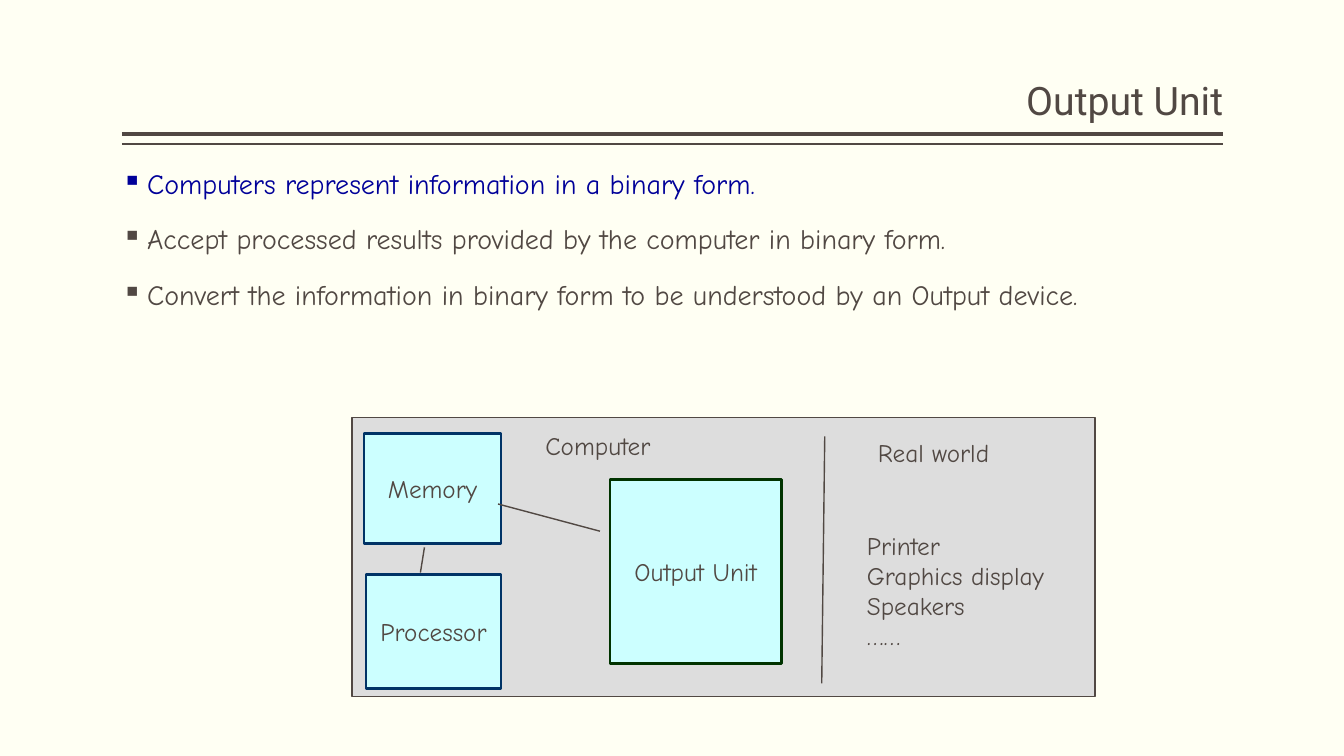
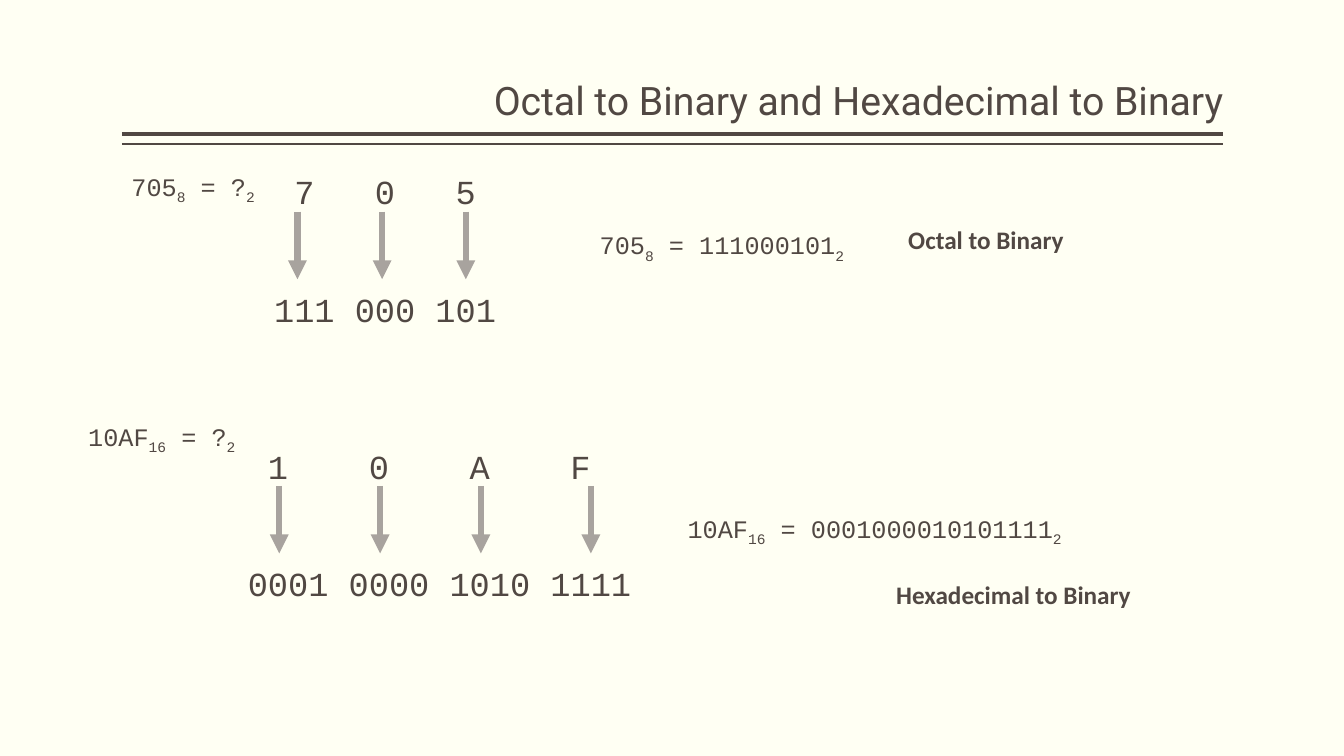
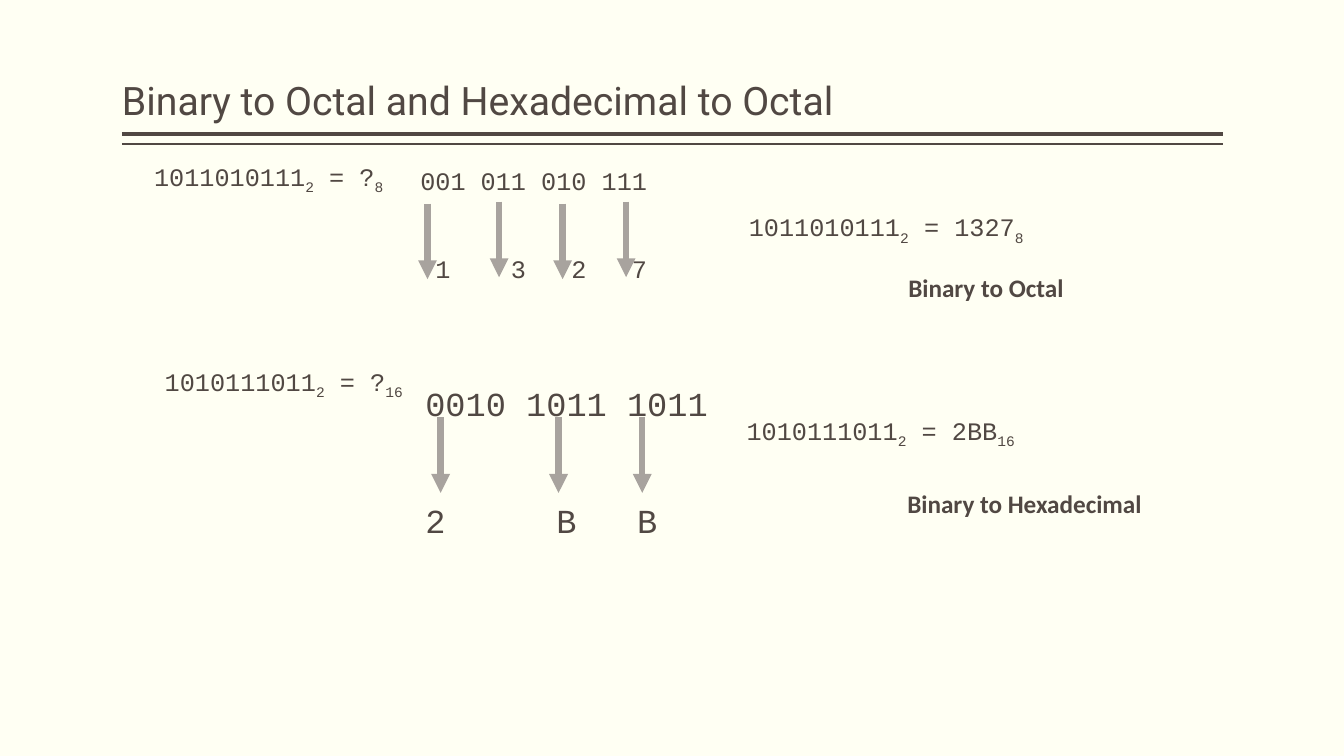
"""Build three slides on output units and number base conversion."""
import dataclasses
import typing

import lxml.etree
import pptx
import pptx.dml.color
import pptx.enum.shapes
import pptx.enum.text
import pptx.oxml.ns
import pptx.slide
import pptx.text.text
import pptx.util

Inches = pptx.util.Inches
Pt = pptx.util.Pt
RGBColor = pptx.dml.color.RGBColor
Align = pptx.enum.text.PP_ALIGN
Anchor = pptx.enum.text.MSO_ANCHOR
Slide = pptx.slide.Slide
Point = tuple[float, float]
Area = tuple[float, float, float, float]

CREAM = RGBColor(0xFF, 0xFF, 0xF3)
BROWN = RGBColor(0x51, 0x48, 0x43)
TAUPE = RGBColor(0xA8, 0xA3, 0x9E)
BLUE = RGBColor(0x00, 0x00, 0x99)
NAVY = RGBColor(0x00, 0x33, 0x66)
GREEN = RGBColor(0x00, 0x33, 0x00)
CYAN = RGBColor(0xCC, 0xFF, 0xFF)
GREY = RGBColor(0xDD, 0xDD, 0xDD)
HEAD, HAND, MONO, SANS = "Roboto", "Comic Neue", "Courier New", "Calibri"
LEFT, RIGHT, WIDE = 1.21, 12.13, 10.92


@dataclasses.dataclass(frozen=True)
class Block:
    """A filled box with an optional label."""
    area: Area
    fill: RGBColor
    edge: RGBColor
    width: float
    label: str = ""


@dataclasses.dataclass(frozen=True)
class Sum:
    """An equation whose every second term, split at bars, is a subscript."""
    area: Area
    terms: str
    align: Align = Align.CENTER


@dataclasses.dataclass(frozen=True)
class Grid:
    """Two rows of digits joined by arrows."""
    area: Area
    rows: tuple[str, str]
    tabs: tuple[float, ...]
    size: int
    gap: int
    arrows: tuple[Point, ...]
    drop: float


@dataclasses.dataclass(frozen=True)
class Note:
    """Plain unwrapped text."""
    area: Area
    lines: tuple[str, ...]
    face: str = HAND
    bold: bool = False


BLOCKS = (
    Block((3.49, 4.14, 7.37, 2.77), GREY, BROWN, 1),
    Block((6.05, 4.76, 1.7, 1.82), CYAN, GREEN, 2, "Output Unit"),
    Block((3.63, 5.7, 1.34, 1.13), CYAN, NAVY, 2, "Processor"),
    Block((3.61, 4.3, 1.36, 1.09), CYAN, NAVY, 2, "Memory"),
)
LINKS = (((5.95, 5.27), (4.94, 5)), ((8.18, 4.33), (8.15, 6.78)),
         ((4.21, 5.43), (4.17, 5.68)))
WORLD = (
    Note((5.31, 4.22, 1.32, 0.4), ("Computer",)),
    Note((8.61, 4.29, 1.4, 0.4), ("Real world",)),
    Note((8.5, 5.21, 2.09, 1.3),
         ("Printer", "Graphics display", "Speakers", "……")),
)
POINTS = (
    ("Computers represent information in a binary form.", BLUE),
    ("Accept processed results provided by the computer in binary form.",
     BROWN),
    ("Convert the information in binary form to be understood by an "
     "Output device.", BROWN),
)
TO_BASE_2 = (
    Sum((0.79, 1.6, 2.25, 0.5), "705|8| = ?|2"),
    Grid((2.62, 1.6, 2.92, 1.7), ("\t7\t0\t5", "111 000 101"),
         (0.2, 1, 1.8), 24, 55, ((2.95, 2.1), (3.79, 2.1), (4.62, 2.1)), 0.67),
    Sum((5.2, 2.18, 3.92, 0.5), "705|8| = 111000101|2"),
    Sum((0.48, 4.08, 2.25, 0.5), "10AF|16| = ?|2"),
    Grid((2.36, 4.32, 4.17, 1.7), ("\t1\t0\tA\tF", "0001 0000 1010 1111"),
         (0.2, 1.2, 2.2, 3.2), 24, 55,
         ((2.77, 4.82), (3.77, 4.82), (4.77, 4.82), (5.86, 4.82)), 0.67),
    Sum((6.05, 4.99, 5.25, 0.5), "10AF|16| = 0001000010101111|2"),
    Note((8.91, 2.18, 1.94, 0.4), ("Octal to Binary",), SANS, True),
    Note((8.79, 5.7, 2.79, 0.4), ("Hexadecimal to Binary",), SANS, True),
)
FROM_BASE_2 = (
    Sum((0.33, 1.5, 4.67, 0.5), "1011010111|2| = ?|8"),
    Grid((4.07, 1.54, 4.67, 1.31), ("001 011 010 111", "\t1\t3\t2\t7"),
         (0.15, 0.9, 1.5, 2.1), 18, 41,
         ((4.24, 2.02), (4.95, 2), (5.58, 2.02), (6.21, 2)), 0.75),
    Sum((5.58, 2, 4.67, 0.5), "1011010111|2| = 1327|8", Align.RIGHT),
    Sum((0.48, 3.53, 4.67, 0.5), "1010111011|2| = ?|16"),
    Grid((4.12, 3.7, 4.67, 1.72), ("0010 1011 1011", "2\tB\tB"),
         (1.3, 2.1), 24, 55, ((4.37, 4.14), (5.54, 4.14), (6.37, 4.14)), 0.75),
    Sum((6.4, 4.02, 4.67, 0.5), "1010111011|2| = 2BB|16"),
    Note((8.91, 2.65, 2.02, 0.4), ("Binary to Octal",), SANS, True),
    Note((8.9, 4.8, 2.79, 0.4), ("Binary to Hexadecimal",), SANS, True),
)


def add_node(parent: typing.Any, tag: str, **attrs: str) -> typing.Any:
    """Append a drawing element to its parent."""
    return lxml.etree.SubElement(parent, pptx.oxml.ns.qn(tag), attrs)


def style(para: pptx.text.text._Paragraph, face: str, size: float,
          color: RGBColor = BROWN, bold: bool = False) -> None:
    """Set the font of a paragraph."""
    font = para.font
    font.name, font.size, font.bold = face, Pt(size), bold
    font.color.rgb = color


def add_line(slide: Slide, start: Point, end: Point,
             color: RGBColor = BROWN, width: float = 1,
             arrow: bool = False) -> None:
    """Draw a straight line or arrow."""
    line = slide.shapes.add_connector(
        pptx.enum.shapes.MSO_CONNECTOR.STRAIGHT,
        *(Inches(n) for n in (*start, *end)))
    line.line.color.rgb = color
    line.line.width = Pt(width)
    if arrow:
        add_node(line.line._get_or_add_ln(), "a:tailEnd", type="triangle")
    add_node(line._element.spPr, "a:effectLst")


def add_text(slide: Slide, area: Area, lines: typing.Sequence[str],
             wrap: bool = True) -> pptx.text.text.TextFrame:
    """Add a text box with one paragraph a line."""
    box = slide.shapes.add_textbox(*(Inches(n) for n in area))
    frame = box.text_frame
    frame.word_wrap = wrap
    frame.text = "\n".join(lines)
    return frame


def add_block(slide: Slide, block: Block) -> None:
    """Draw a labelled box."""
    shape = slide.shapes.add_shape(
        pptx.enum.shapes.MSO_SHAPE.RECTANGLE,
        *(Inches(n) for n in block.area))
    shape.shadow.inherit = False
    shape.fill.solid()
    shape.fill.fore_color.rgb = block.fill
    shape.line.color.rgb = block.edge
    shape.line.width = Pt(block.width)
    if block.label:
        frame = shape.text_frame
        frame.word_wrap = False
        frame.vertical_anchor = Anchor.MIDDLE
        frame.text = block.label
        para = frame.paragraphs[0]
        para.alignment = Align.CENTER
        style(para, HAND, 18)


def add_note(slide: Slide, note: Note) -> None:
    """Write plain text."""
    for para in add_text(slide, note.area, note.lines, False).paragraphs:
        style(para, note.face, 18, bold=note.bold)


def add_sum(slide: Slide, item: Sum) -> None:
    """Write an equation with its subscripts."""
    frame = add_text(slide, item.area, ("",))
    frame.margin_top = Inches(0.1)
    para = frame.paragraphs[0]
    para.alignment = item.align
    style(para, MONO, 18)
    for place, term in enumerate(item.terms.split("|")):
        run = para.add_run()
        run.text = term
        if place % 2:
            run._r.get_or_add_rPr().set("baseline", "-25000")


def add_grid(slide: Slide, grid: Grid) -> None:
    """Write two rows of digits and the arrows between them."""
    frame = add_text(slide, grid.area, grid.rows)
    frame.margin_top = Inches(0.1)
    for para in frame.paragraphs:
        props = para._p.get_or_add_pPr()
        stops = add_node(props, "a:tabLst")
        for tab in grid.tabs:
            add_node(stops, "a:tab", pos=str(Inches(tab)), algn="l")
        style(para, MONO, grid.size)
    frame.paragraphs[1].space_before = Pt(grid.gap)
    for x, y in grid.arrows:
        add_line(slide, (x, y), (x, y + grid.drop), TAUPE, 4.5, True)


def add_points(slide: Slide) -> None:
    """Write the bulleted list."""
    frame = add_text(slide, (LEFT, 1.64, WIDE, 5),
                     [text for text, _ in POINTS])
    frame.margin_left = frame.margin_right = 0
    for para, (_, color) in zip(frame.paragraphs, POINTS):
        para.line_spacing = 0.9
        para.space_before = Pt(18)
        props = para._p.get_or_add_pPr()
        props.set("marL", str(Inches(0.25)))
        props.set("indent", str(Inches(-0.25)))
        add_node(props, "a:buChar", char="▪")
        style(para, HAND, 20, color)


def add_slide(deck: typing.Any, text: str, align: Align) -> Slide:
    """Add a slide with its title and double rule."""
    slide = deck.slides.add_slide(deck.slide_layouts[5])
    title = slide.shapes.title
    title.left, title.top = Inches(LEFT), Inches(0.08)
    title.width, title.height = Inches(WIDE), Inches(1.2)
    frame = title.text_frame
    frame.text = text
    frame.word_wrap = True
    frame.auto_size = pptx.enum.text.MSO_AUTO_SIZE.NONE
    frame.vertical_anchor = Anchor.BOTTOM
    frame.margin_left = frame.margin_right = 0
    para = frame.paragraphs[0]
    para.alignment = align
    para.line_spacing = 0.9
    style(para, HEAD, 28)
    for y, width in ((1.33, 3), (1.43, 1)):
        add_line(slide, (LEFT, y), (RIGHT, y), width=width)
    return slide


def add_items(slide: Slide, items: typing.Sequence[typing.Any]) -> None:
    """Draw each item with the function for its kind."""
    draw = {Sum: add_sum, Grid: add_grid, Note: add_note, Block: add_block}
    for item in items:
        draw[type(item)](slide, item)


def main() -> None:
    """Build and save the deck."""
    deck = pptx.Presentation()
    deck.slide_width, deck.slide_height = Inches(13.33), Inches(7.5)
    fill = deck.slide_master.background.fill
    fill.solid()
    fill.fore_color.rgb = CREAM

    slide = add_slide(deck, "Output Unit", Align.RIGHT)
    add_points(slide)
    add_items(slide, BLOCKS + WORLD)
    for start, end in LINKS:
        add_line(slide, start, end)

    slide = add_slide(deck, "Octal to Binary and Hexadecimal to Binary",
                      Align.RIGHT)
    add_items(slide, TO_BASE_2)
    slide = add_slide(deck, "Binary to Octal and Hexadecimal to Octal",
                      Align.LEFT)
    add_items(slide, FROM_BASE_2)
    deck.save("out.pptx")


if __name__ == "__main__":
    main()
